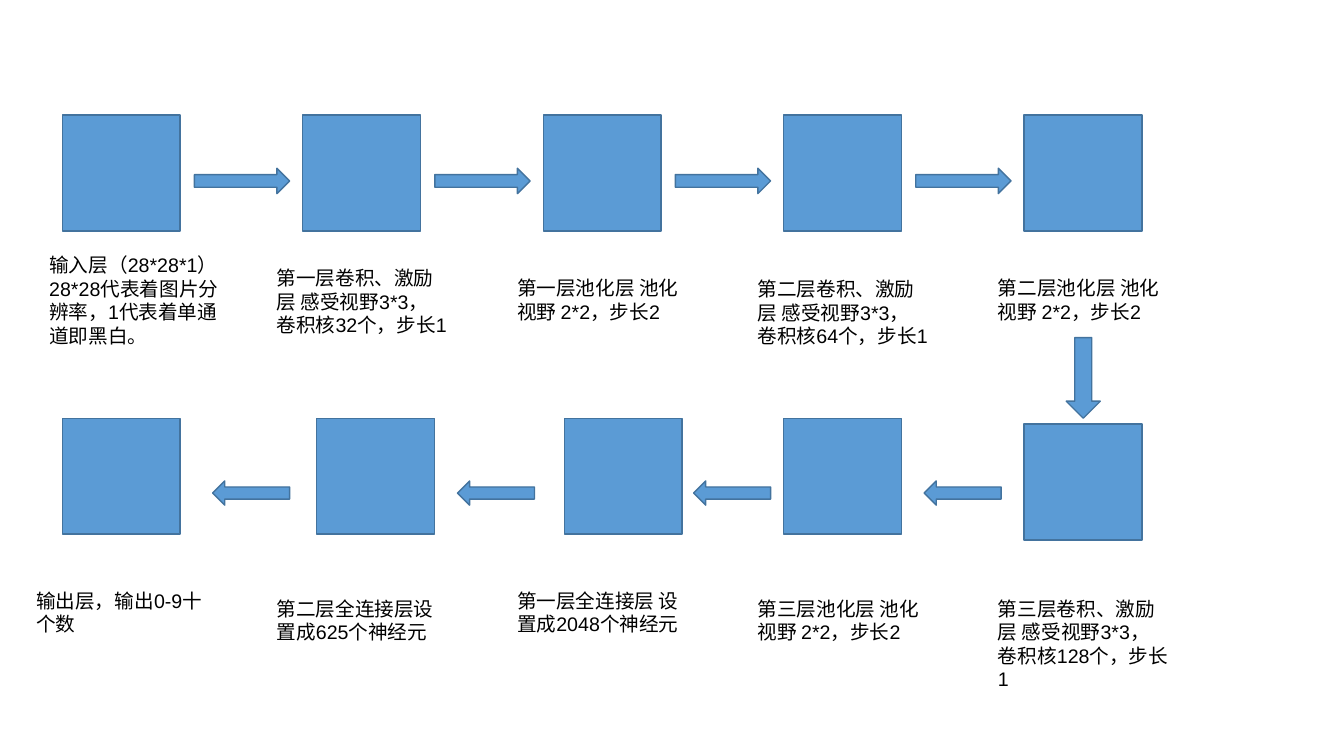
"""Build the slide of a convolutional network as a chain of layers."""
from dataclasses import dataclass

from pptx import Presentation
from pptx import util as u
from pptx.dml import color
from pptx.enum import shapes, text

HUES = {"fill": "5B9BD5", "edge": "43739E", "ink": "000000"}
KIND = shapes.MSO_SHAPE
PITCH = 6.06


@dataclass
class Layer:
    """A square and the caption below it, in centimetres."""
    left: float
    top: float
    note_x: float
    note_y: float
    note_h: float
    lines: tuple[str, ...]


@dataclass
class Arrow:
    """A block arrow, in centimetres."""
    kind: KIND
    left: float
    top: float
    width: float
    height: float


def col(start: float, index: int) -> float:
    """Return the left edge of a column."""
    return start + PITCH * index


def hue(name: str) -> color.RGBColor:
    """Return a named colour."""
    return color.RGBColor.from_string(HUES[name])


def block(slide, kind: KIND, *area: float) -> None:
    """Draw a filled preset shape."""
    shape = slide.shapes.add_shape(kind, *map(u.Cm, area))
    shape.shadow.inherit = False
    shape.fill.solid()
    shape.fill.fore_color.rgb = hue("fill")
    shape.line.color.rgb = hue("edge")
    shape.line.width = u.Pt(1)


def note(slide, layer: Layer) -> None:
    """Write the caption of a layer."""
    area = (layer.note_x, layer.note_y, 4.8, layer.note_h)
    frame = slide.shapes.add_textbox(*map(u.Cm, area)).text_frame
    frame.word_wrap = True
    frame.auto_size = text.MSO_AUTO_SIZE.SHAPE_TO_FIT_TEXT
    for i, line in enumerate(layer.lines):
        para = frame.add_paragraph() if i else frame.paragraphs[0]
        run = para.add_run()
        run.text = line
        run.font.name = "Arial"
        run.font.size = u.Pt(14)
        run.font.color.rgb = hue("ink")


BOX_X, NOTE_X = 1.57, 0.66
TOP, LOW = 2.9, 10.54

LAYERS = [
    Layer(BOX_X, TOP, 0.99, 6.25, 2.64,
          ("输入层（28*28*1）", "28*28代表着图片分辨率，1代表着单通道即黑白。")),
    Layer(col(BOX_X, 1), TOP, col(NOTE_X, 1), 6.58, 2.06,
          ("第一层卷积、激励层 感受视野3*3，卷积核32个，步长1",)),
    Layer(col(BOX_X, 2), TOP, col(NOTE_X, 2), 6.83, 1.45,
          ("第一层池化层 池化视野 2*2，步长2",)),
    Layer(col(BOX_X, 3), TOP, col(NOTE_X, 3), 6.86, 2.06,
          ("第二层卷积、激励层 感受视野3*3，卷积核64个，步长1",)),
    Layer(col(BOX_X, 4), TOP, col(NOTE_X, 4), 6.83, 1.45,
          ("第二层池化层 池化视野 2*2，步长2",)),
    Layer(col(BOX_X, 4), 10.69, col(NOTE_X, 4), 14.91, 2.64,
          ("第三层卷积、激励层 感受视野3*3，卷积核128个，步长1",)),
    Layer(col(BOX_X, 3), LOW, col(NOTE_X, 3), 14.91, 1.45,
          ("第三层池化层 池化视野 2*2，步长2",)),
    Layer(14.22, LOW, col(NOTE_X, 2), 14.71, 1.45,
          ("第一层全连接层 设置成2048个神经元",)),
    Layer(7.98, LOW, col(NOTE_X, 1), 14.91, 1.45,
          ("第二层全连接层设置成625个神经元",)),
    Layer(BOX_X, LOW, NOTE_X, 14.71, 1.45, ("输出层，输出0-9十个数",)),
]

ARROWS = [
    *(Arrow(KIND.RIGHT_ARROW, col(4.9, i), 4.24, 2.4, 0.64) for i in range(4)),
    Arrow(KIND.DOWN_ARROW, 26.87, 8.51, 0.86, 2.03),
    *(Arrow(KIND.LEFT_ARROW, x, 12.12, 1.94, 0.61)
      for x in (23.29, 17.48, 11.53, 5.36)),
]


def main() -> None:
    """Draw the layers and arrows and save the deck."""
    deck = Presentation()
    deck.slide_width, deck.slide_height = u.Cm(33.87), u.Cm(19.05)
    slide = deck.slides.add_slide(deck.slide_layouts[6])
    for layer in LAYERS:
        block(slide, KIND.RECTANGLE, layer.left, layer.top, 2.97, 2.92)
        note(slide, layer)
    for item in ARROWS:
        block(slide, item.kind, item.left, item.top, item.width, item.height)
    deck.save("out.pptx")


if __name__ == "__main__":
    main()
